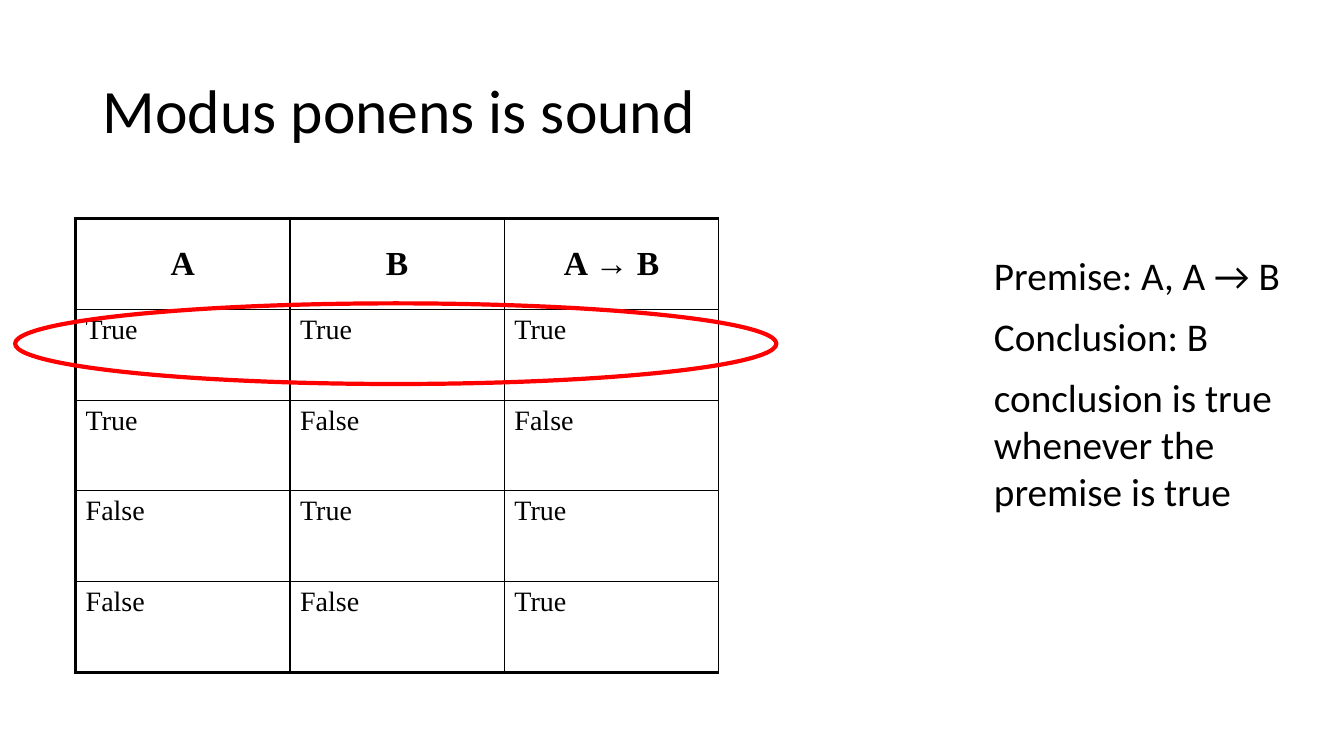
"""Build the slide showing with a truth table that modus ponens is sound."""
from dataclasses import dataclass

from lxml.etree import SubElement
from pptx import Presentation
from pptx.dml.color import RGBColor
from pptx.enum.shapes import MSO_SHAPE
from pptx.enum.text import MSO_ANCHOR, PP_ALIGN
from pptx.oxml.ns import qn
from pptx.util import Inches, Pt


@dataclass(frozen=True)
class Theme:
    ink: str = "000000"
    highlight: str = "FF0000"
    sans: str = "Calibri"
    serif: str = "Times New Roman"
    title_size: int = 44
    argument_size: int = 28
    header_size: int = 24
    value_size: int = 20
    thin: float = 1
    thick: float = 2.25
    ring: float = 3


THEME = Theme()
TITLE = "Modus ponens is sound"
TRUTH_TABLE = [
    ("A", "B", "A → B"),
    ("True", "True", "True"),
    ("True", "False", "False"),
    ("False", "True", "True"),
    ("False", "False", "True"),
]
ARGUMENT = [
    "Premise: A, A → B",
    "Conclusion: B",
    "conclusion is true whenever the premise is true",
]
TITLE_BOX = (0.92, 0.4, 11.5, 1.45)
TABLE_BOX = (0.75, 2.17, 6.38, 4.5)
ARGUMENT_BOX = (9.51, 2.44, 3.38, 2.74)
RING_BOX = (0.15, 3.01, 7.55, 0.8)


def inches(box):
    return [Inches(length) for length in box]


def write(paragraph, text, size, font, bold=False):
    run = paragraph.add_run()
    run.text = text
    run.font.size = Pt(size)
    run.font.name = font
    run.font.bold = bold
    run.font.color.rgb = RGBColor.from_string(THEME.ink)


def add_borders(cell, widths):
    properties = cell._tc.get_or_add_tcPr()
    for position, (side, width) in enumerate(widths.items()):
        line = SubElement(properties, qn(f"a:ln{side}"), w=str(Pt(width)))
        fill = SubElement(line, qn("a:solidFill"))
        SubElement(fill, qn("a:srgbClr"), val=THEME.ink)
        properties.insert(position, line)


def add_title(slide):
    title = slide.shapes.title
    title.left, title.top, title.width, title.height = inches(TITLE_BOX)
    title.text_frame.vertical_anchor = MSO_ANCHOR.MIDDLE
    paragraph = title.text_frame.paragraphs[0]
    paragraph.alignment = PP_ALIGN.LEFT
    paragraph.line_spacing = 0.9
    write(paragraph, TITLE, THEME.title_size, THEME.sans)


def add_truth_table(slide):
    row_count, column_count = len(TRUTH_TABLE), len(TRUTH_TABLE[0])
    table = slide.shapes.add_table(row_count, column_count, *inches(TABLE_BOX)).table
    table.first_row = table.horz_banding = False
    for row, values in enumerate(TRUTH_TABLE):
        for column, value in enumerate(values):
            cell = table.cell(row, column)
            cell.fill.background()
            paragraph = cell.text_frame.paragraphs[0]
            header = row == 0
            if header:
                cell.vertical_anchor = MSO_ANCHOR.MIDDLE
                paragraph.alignment = PP_ALIGN.CENTER
            size = THEME.header_size if header else THEME.value_size
            write(paragraph, value, size, THEME.serif, header)
            add_borders(cell, {
                "L": THEME.thick if column == 0 else THEME.thin,
                "R": THEME.thin,
                "T": THEME.thick if header else THEME.thin,
                "B": THEME.thick if row == row_count - 1 else THEME.thin,
            })


def add_argument(slide):
    frame = slide.shapes.add_textbox(*inches(ARGUMENT_BOX)).text_frame
    frame.word_wrap = True
    for index, text in enumerate(ARGUMENT):
        paragraph = frame.add_paragraph() if index else frame.paragraphs[0]
        paragraph.space_before = Pt(10)
        properties = paragraph._p.get_or_add_pPr()
        properties.set("marL", str(Inches(0.25)))
        properties.set("indent", "0")
        write(paragraph, text, THEME.argument_size, THEME.sans)


def add_ring(slide):
    ring = slide.shapes.add_shape(MSO_SHAPE.OVAL, *inches(RING_BOX))
    ring.shadow.inherit = False
    ring.fill.background()
    ring.line.color.rgb = RGBColor.from_string(THEME.highlight)
    ring.line.width = Pt(THEME.ring)


presentation = Presentation()
presentation.slide_width, presentation.slide_height = Inches(13.33), Inches(7.5)
slide = presentation.slides.add_slide(presentation.slide_layouts.get_by_name("Title Only"))
add_title(slide)
add_truth_table(slide)
add_argument(slide)
add_ring(slide)
presentation.save("out.pptx")
